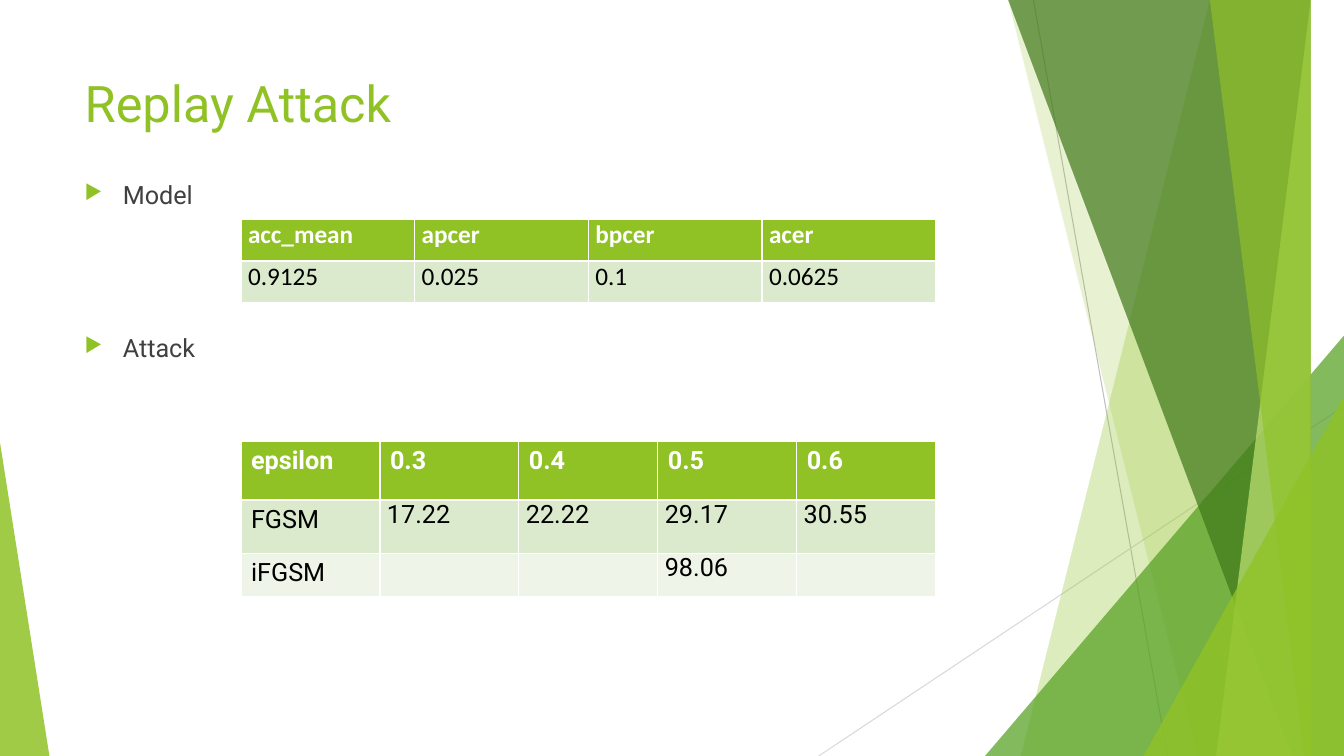
import pptx
import pptx.util
import pptx.dml.color
import pptx.enum.shapes
import pptx.enum.text
import pptx.oxml
import pptx.oxml.ns
from lxml import etree

Inches = pptx.util.Inches
WIDTH, HEIGHT, TOP = 13.33, 7.5, -0.01
GREEN, WHITE, BLACK = "90C226", "FFFFFF", "000000"
ROW_FILLS = [GREEN, "DBE9CD", "EEF4E8"]

TITLE = "Replay Attack"
BULLETS = [("Model", 1.73), ("Attack", 3.25)]
MODEL_ROWS = [
    ["acc_mean", "apcer", "bpcer", "acer"],
    ["0.9125", "0.025", "0.1", "0.0625"],
]
ATTACK_ROWS = [
    ["epsilon", "0.3", "0.4", "0.5", "0.6"],
    ["FGSM", "17.22", "22.22", "29.17", "30.55"],
    ["iFGSM", "", "", "98.06", ""],
]
TABLES = [
    (MODEL_ROWS, 2.18, [0.41, 0.41], "Calibri"),
    (ATTACK_ROWS, 4.38, [0.58, 0.53, 0.43], "Roboto"),
]

RAYS = [
    ((10.25, 0), (11.58, HEIGHT), "BFBFBF"),
    ((WIDTH, 4.03), (8.12, HEIGHT), "D9D9D9"),
]
FACETS = [
    ("band", 12.28, 10.04, GREEN, 30),
    ("band", 10.5, 11.83, GREEN, 20),
    ("triangle", (9.77, 3.33, 3.56, 4.17), 1, "54A021", 72),
    ("band", 10.21, 12.91, "3F7819", 70),
    ("band", 13.03, 11.92, "C0E474", 70),
    ("band", 11.96, 13.18, GREEN, 65),
    ("triangle", (11.34, 3.93, 1.99, 3.57), 1, GREEN, 80),
    ("triangle", (0, 4.39, 0.49, 3.11), 0, GREEN, 85),
]


def color(value):
    return pptx.dml.color.RGBColor.from_string(value)


def add_span(para, text, size, font, fill, bold=False):
    span = para.add_run()
    span.text = text
    span.font.size = pptx.util.Pt(size)
    span.font.name = font
    span.font.bold = bold
    span.font.color.rgb = color(fill)


def add_ray(page, start, end, fill):
    ray = page.shapes.add_connector(
        pptx.enum.shapes.MSO_CONNECTOR.STRAIGHT, *map(Inches, start + end))
    ray.line.color.rgb = color(fill)
    ray.line.width = pptx.util.Pt(0.75)
    etree.SubElement(ray._element.spPr, pptx.oxml.ns.qn("a:effectLst"))


def add_facet(page, kind, place, slant, fill, opacity):
    if kind == "band":
        corners = [(WIDTH, TOP), (WIDTH, HEIGHT), (slant, HEIGHT)]
        outline = page.shapes.build_freeform(place, TOP, scale=Inches(1))
        outline.add_line_segments(corners, close=True)
        facet = outline.convert_to_shape()
    else:
        facet = page.shapes.add_shape(
            pptx.enum.shapes.MSO_SHAPE.ISOSCELES_TRIANGLE, *map(Inches, place))
        facet.adjustments[0] = slant
    facet.shadow.inherit = False
    facet.line.fill.background()
    facet.fill.solid()
    facet.fill.fore_color.rgb = color(fill)
    shade = facet._element.spPr.find(".//" + pptx.oxml.ns.qn("a:srgbClr"))
    etree.SubElement(shade, pptx.oxml.ns.qn("a:alpha"), val=str(opacity * 1000))


def add_bullet(page, text, top):
    box = page.shapes.add_textbox(*map(Inches, (0.74, top, 9.4, 1.26)))
    box.text_frame.word_wrap = True
    para = box.text_frame.paragraphs[0]
    properties = para._p.get_or_add_pPr()
    properties.set("marL", str(Inches(0.38)))
    properties.set("indent", str(-Inches(0.38)))
    mark = etree.SubElement(properties, pptx.oxml.ns.qn("a:buClr"))
    etree.SubElement(mark, pptx.oxml.ns.qn("a:srgbClr"), val=GREEN)
    etree.SubElement(properties, pptx.oxml.ns.qn("a:buSzPct"), val="80000")
    etree.SubElement(properties, pptx.oxml.ns.qn("a:buChar"), char="▶")
    add_span(para, text, 18, "Roboto", "404040")


def add_grid(page, rows, top, heights, font):
    count = len(rows[0])
    width = 6.89
    table = page.shapes.add_table(
        len(rows), count, *map(Inches, (2.39, top, width, sum(heights)))).table
    for column in table.columns:
        column.width = Inches(width / count)
    for r, values in enumerate(rows):
        table.rows[r].height = Inches(heights[r])
        for c, value in enumerate(values):
            cell = table.cell(r, c)
            cell.fill.solid()
            cell.fill.fore_color.rgb = color(ROW_FILLS[r])
            if not value:
                continue
            if rows is MODEL_ROWS or (r and c):
                cell.margin_left = cell.margin_right = Inches(0.07)
                cell.margin_top = cell.margin_bottom = 0
            add_span(cell.text_frame.paragraphs[0], value, 18, font,
                     BLACK if r else WHITE, r == 0)


def main():
    deck = pptx.Presentation()
    deck.slide_width, deck.slide_height = Inches(WIDTH), Inches(HEIGHT)
    page = deck.slides.add_slide(deck.slide_layouts[5])
    for ray in RAYS:
        add_ray(page, *ray)
    for facet in FACETS:
        add_facet(page, *facet)

    title = page.shapes.title
    title.left, title.top, title.width, title.height = map(
        Inches, (0.74, 0.67, 9.4, 1.44))
    title.text_frame.vertical_anchor = pptx.enum.text.MSO_ANCHOR.TOP
    para = title.text_frame.paragraphs[0]
    para.alignment = pptx.enum.text.PP_ALIGN.LEFT
    add_span(para, TITLE, 36, "Roboto", GREEN)

    for bullet in BULLETS:
        add_bullet(page, *bullet)
    for grid in TABLES:
        add_grid(page, *grid)
    deck.save("out.pptx")


if __name__ == "__main__":
    main()
